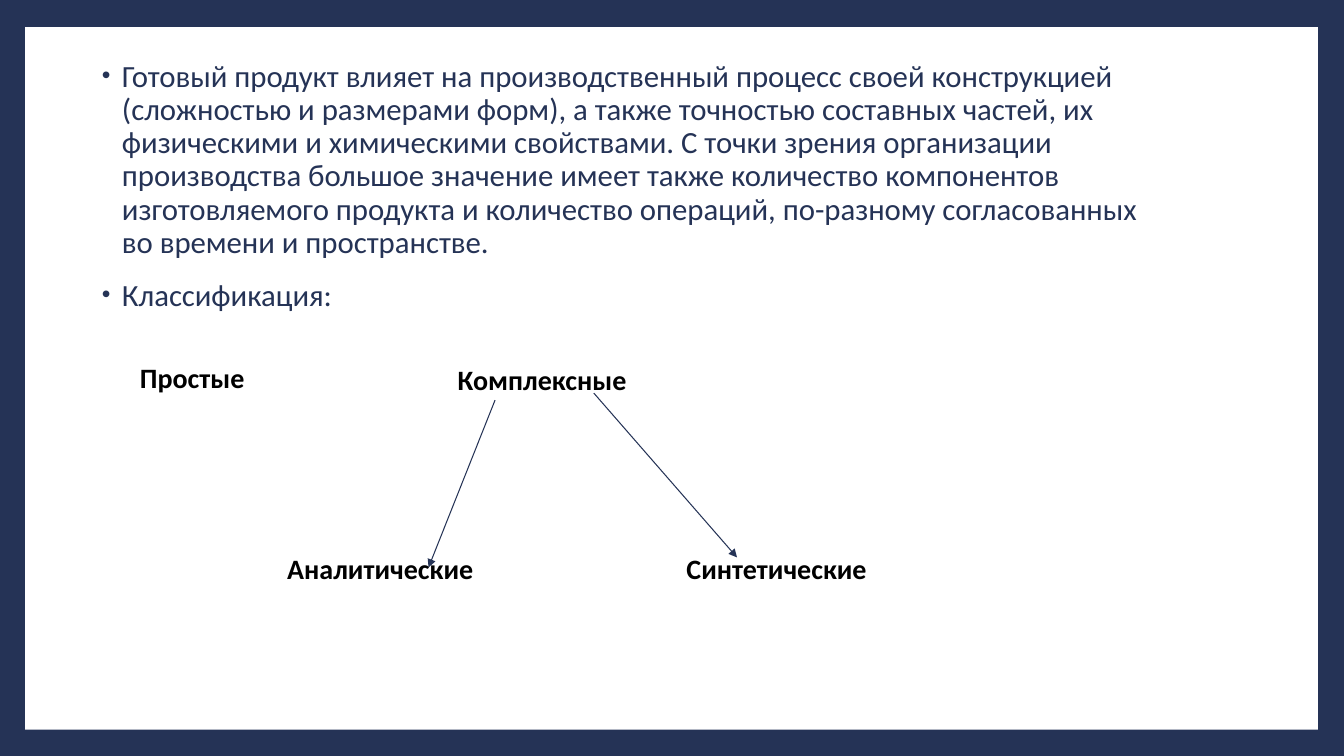
from pptx import Presentation, util as u
from pptx.dml.color import RGBColor
from pptx.enum import shapes, text
from pptx.oxml.ns import qn
from lxml import etree

COLORS = {"navy": "253356", "white": "FFFFFF", "black": "000000"}
BODY = [
    "Готовый продукт влияет на производственный процесс своей конструкцией "
    "(сложностью и размерами форм), а также точностью составных частей, их "
    "физическими и химическими свойствами. С точки зрения организации "
    "производства большое значение имеет также количество компонентов "
    "изготовляемого продукта и количество операций, по-разному согласованных "
    "во времени и пространстве.",
    "Классификация:",
]
LABELS = [
    ("Простые", 1.29, 3.53, 1.47),
    ("Комплексные", 4.44, 3.55, 1.92),
    ("Аналитические", 2.75, 5.42, 2.16),
    ("Синтетические", 6.71, 5.42, 2.22),
]
ARROWS = [(4.91, 3.97, 4.25, 5.63), (5.89, 3.9, 7.31, 5.53)]
BODY_FONT = {"size": u.Pt(22), "name": "Calibri", "bold": False}
LABEL_FONT = {"size": u.Pt(20), "name": "Calibri", "bold": True}
PARAGRAPH = {"line_spacing": 0.9, "space_before": u.Pt(14), "space_after": u.Pt(0),
             "alignment": text.PP_ALIGN.LEFT}


def rgb(name):
    return RGBColor.from_string(COLORS[name])


def inches(*values):
    return [u.Inches(v) for v in values]


def assign(obj, values):
    for key, value in values.items():
        setattr(obj, key, value)


def add_run(p, words, font, color):
    r = p.add_run()
    r.text = words
    assign(r.font, font)
    r.font.color.rgb = rgb(color)


def add_bullet(p):
    pPr = p._p.get_or_add_pPr()
    pPr.set("marL", str(u.Inches(0.25)))
    pPr.set("indent", str(u.Inches(-0.2)))
    color = etree.SubElement(pPr, qn("a:buClr"))
    etree.SubElement(color, qn("a:srgbClr"), val=COLORS["navy"])
    etree.SubElement(pPr, qn("a:buSzPct"), val="80000")
    etree.SubElement(pPr, qn("a:buFont"), typeface="Arial")
    etree.SubElement(pPr, qn("a:buChar"), char="•")


prs = Presentation()
prs.slide_width, prs.slide_height = inches(13.33, 7.5)
s = prs.slides.add_slide(prs.slide_layouts[1])
s.background.fill.solid()
s.background.fill.fore_color.rgb = rgb("navy")

title = s.shapes.title._element
title.getparent().remove(title)

body = s.placeholders[1]
frame = s.shapes.add_shape(shapes.MSO_SHAPE.RECTANGLE, *inches(0.25, 0.27, 12.82, 6.97))
frame.shadow.inherit = False
frame.fill.solid()
frame.fill.fore_color.rgb = rgb("white")
frame.line.fill.background()
body._element.addprevious(frame._element)

assign(body, dict(zip(("left", "top", "width", "height"), inches(0.86, 0.55, 10.8, 2.61))))
tf = body.text_frame
assign(tf, {"word_wrap": True, "auto_size": text.MSO_AUTO_SIZE.NONE,
            "vertical_anchor": text.MSO_ANCHOR.TOP})
for i, words in enumerate(BODY):
    p = tf.add_paragraph() if i else tf.paragraphs[0]
    assign(p, PARAGRAPH)
    add_bullet(p)
    add_run(p, words, BODY_FONT, "navy")

for ends in ARROWS:
    arrow = s.shapes.add_connector(shapes.MSO_CONNECTOR.STRAIGHT, *inches(*ends))
    arrow.line.color.rgb = rgb("navy")
    arrow.line.width = u.Pt(0.75)
    etree.SubElement(arrow.line._get_or_add_ln(), qn("a:tailEnd"), type="triangle")
    etree.SubElement(arrow._element.spPr, qn("a:effectLst"))

for words, left, top, width in LABELS:
    tf = s.shapes.add_textbox(*inches(left, top, width, 0.43)).text_frame
    assign(tf, {"word_wrap": True, "auto_size": text.MSO_AUTO_SIZE.SHAPE_TO_FIT_TEXT})
    add_run(tf.paragraphs[0], words, LABEL_FONT, "black")

prs.save("out.pptx")
